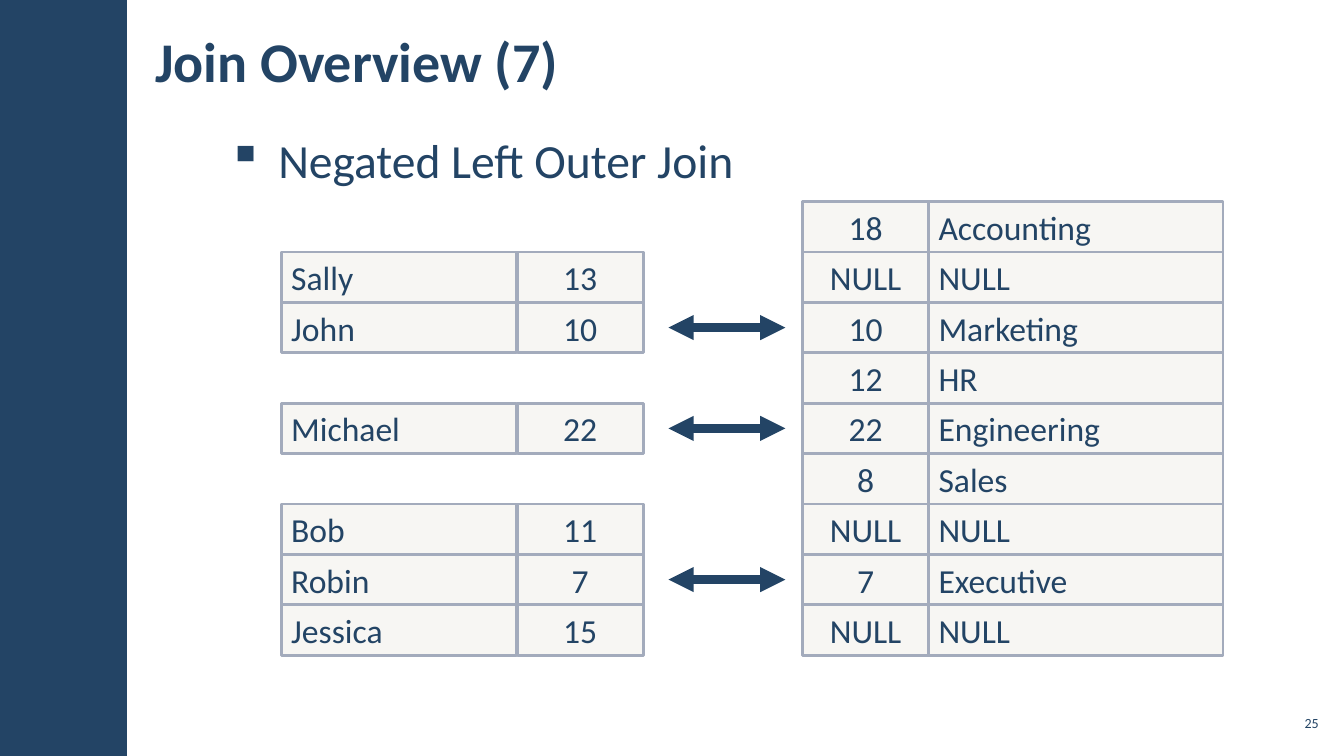
from dataclasses import dataclass

from lxml.etree import SubElement
from pptx import Presentation
from pptx.dml.color import RGBColor
from pptx.enum.shapes import MSO_CONNECTOR, MSO_SHAPE
from pptx.enum.text import MSO_ANCHOR, PP_ALIGN
from pptx.oxml.ns import qn
from pptx.slide import Slide
from pptx.text.text import TextFrame, _Paragraph
from pptx.util import Inches, Pt


@dataclass(frozen=True)
class Theme:
    font: str = "Calibri"
    navy: RGBColor = RGBColor(0x23, 0x44, 0x65)
    cell_fill: RGBColor = RGBColor(0xD9, 0xD5, 0xC7)
    cell_line: RGBColor = RGBColor(0xA3, 0xAB, 0xBC)
    cell_opacity: int = 20
    title_size: int = 40
    bullet_size: int = 34
    cell_size: int = 24
    number_size: int = 10
    cell_line_width: int = 2
    arrow_width: int = 6


@dataclass(frozen=True)
class Box:
    left: float
    top: float
    width: float
    height: float


@dataclass(frozen=True)
class Column:
    left: float
    width: float
    align: PP_ALIGN


@dataclass(frozen=True)
class JoinRow:
    department_id: str
    department: str
    employee: str = ""
    employee_key: str = ""

    @property
    def matches(self) -> bool:
        return self.employee_key == self.department_id


THEME = Theme()
ROWS_TOP = 2.0
ROW_HEIGHT = 0.5
ARROW_LEFT, ARROW_RIGHT = 6.63, 7.79

EMPLOYEE = Column(2.79, 2.33, PP_ALIGN.LEFT)
EMPLOYEE_KEY = Column(5.13, 1.25, PP_ALIGN.CENTER)
DEPARTMENT_ID = Column(7.96, 1.25, PP_ALIGN.CENTER)
DEPARTMENT = Column(9.21, 2.92, PP_ALIGN.LEFT)

JOIN_ROWS = [
    JoinRow("18", "Accounting"),
    JoinRow("NULL", "NULL", "Sally", "13"),
    JoinRow("10", "Marketing", "John", "10"),
    JoinRow("12", "HR"),
    JoinRow("22", "Engineering", "Michael", "22"),
    JoinRow("8", "Sales"),
    JoinRow("NULL", "NULL", "Bob", "11"),
    JoinRow("7", "Executive", "Robin", "7"),
    JoinRow("NULL", "NULL", "Jessica", "15"),
]


def write(frame: TextFrame, text: str, size: int, align: PP_ALIGN = PP_ALIGN.LEFT,
          bold: bool = False) -> _Paragraph:
    paragraph = frame.paragraphs[0]
    paragraph.alignment = align
    run = paragraph.add_run()
    run.text = text
    run.font.name = THEME.font
    run.font.size = Pt(size)
    run.font.bold = bold
    run.font.color.rgb = THEME.navy
    return paragraph


def add_text_area(slide: Slide, box: Box, anchor: MSO_ANCHOR, side_inset: float) -> TextFrame:
    area = slide.shapes.add_textbox(
        Inches(box.left), Inches(box.top), Inches(box.width), Inches(box.height))
    frame = area.text_frame
    frame.word_wrap = True
    frame.vertical_anchor = anchor
    frame.margin_left = frame.margin_right = Inches(side_inset)
    frame.margin_top = frame.margin_bottom = Inches(0.04)
    return frame


def add_sidebar(slide: Slide) -> None:
    sidebar = slide.shapes.add_shape(
        MSO_SHAPE.RECTANGLE, Inches(0), Inches(0), Inches(1.26), Inches(7.5))
    sidebar.shadow.inherit = False
    sidebar.fill.solid()
    sidebar.fill.fore_color.rgb = THEME.navy
    sidebar.line.fill.background()


def add_bullet(slide: Slide, text: str) -> None:
    frame = add_text_area(slide, Box(2.14, 1.23, 10.98, 5.77), MSO_ANCHOR.TOP, 0.12)
    paragraph = write(frame, text, THEME.bullet_size)
    paragraph.line_spacing = 1.05
    paragraph.space_before = paragraph.space_after = Pt(6)
    properties = paragraph._p.get_or_add_pPr()
    properties.set("marL", str(Inches(0.5)))
    properties.set("indent", str(Inches(-0.5)))
    SubElement(properties, qn("a:buChar"), char="▪")


def add_cell(slide: Slide, column: Column, top: float, text: str) -> None:
    cell = slide.shapes.add_shape(
        MSO_SHAPE.RECTANGLE, Inches(column.left), Inches(top),
        Inches(column.width), Inches(ROW_HEIGHT))
    cell.shadow.inherit = False
    cell.fill.solid()
    cell.fill.fore_color.rgb = THEME.cell_fill
    tint = cell.fill._xPr.find(qn("a:solidFill"))[0]
    SubElement(tint, qn("a:alpha"), val=str(THEME.cell_opacity * 1000))
    cell.line.color.rgb = THEME.cell_line
    cell.line.width = Pt(THEME.cell_line_width)
    cell.text_frame.vertical_anchor = MSO_ANCHOR.MIDDLE
    write(cell.text_frame, text, THEME.cell_size, column.align)


def add_match_arrow(slide: Slide, middle: float) -> None:
    arrow = slide.shapes.add_connector(
        MSO_CONNECTOR.STRAIGHT, Inches(ARROW_LEFT), Inches(middle),
        Inches(ARROW_RIGHT), Inches(middle))
    arrow.line.color.rgb = THEME.navy
    arrow.line.width = Pt(THEME.arrow_width)
    outline = arrow.line._get_or_add_ln()
    for end in ("a:headEnd", "a:tailEnd"):
        SubElement(outline, qn(end), type="triangle")
    SubElement(arrow._element.spPr, qn("a:effectLst"))


def add_join_row(slide: Slide, row: JoinRow, top: float) -> None:
    if row.employee:
        add_cell(slide, EMPLOYEE, top, row.employee)
        add_cell(slide, EMPLOYEE_KEY, top, row.employee_key)
    add_cell(slide, DEPARTMENT_ID, top, row.department_id)
    add_cell(slide, DEPARTMENT, top, row.department)
    if row.matches:
        add_match_arrow(slide, top + ROW_HEIGHT / 2)


def main() -> None:
    presentation = Presentation()
    presentation.slide_width = Inches(13.33)
    presentation.slide_height = Inches(7.5)
    slide = presentation.slides.add_slide(presentation.slide_layouts[6])

    add_sidebar(slide)
    title = add_text_area(slide, Box(1.42, 0.11, 9.19, 0.97), MSO_ANCHOR.MIDDLE, 0.12)
    write(title, "Join Overview (7)", THEME.title_size, bold=True)
    add_bullet(slide, "Negated Left Outer Join")
    page_number = add_text_area(slide, Box(12.65, 7, 0.47, 0.34), MSO_ANCHOR.MIDDLE, 0.04)
    write(page_number, "25", THEME.number_size, PP_ALIGN.RIGHT)

    for index, row in enumerate(JOIN_ROWS):
        add_join_row(slide, row, ROWS_TOP + index * ROW_HEIGHT)

    presentation.save("out.pptx")


if __name__ == "__main__":
    main()
